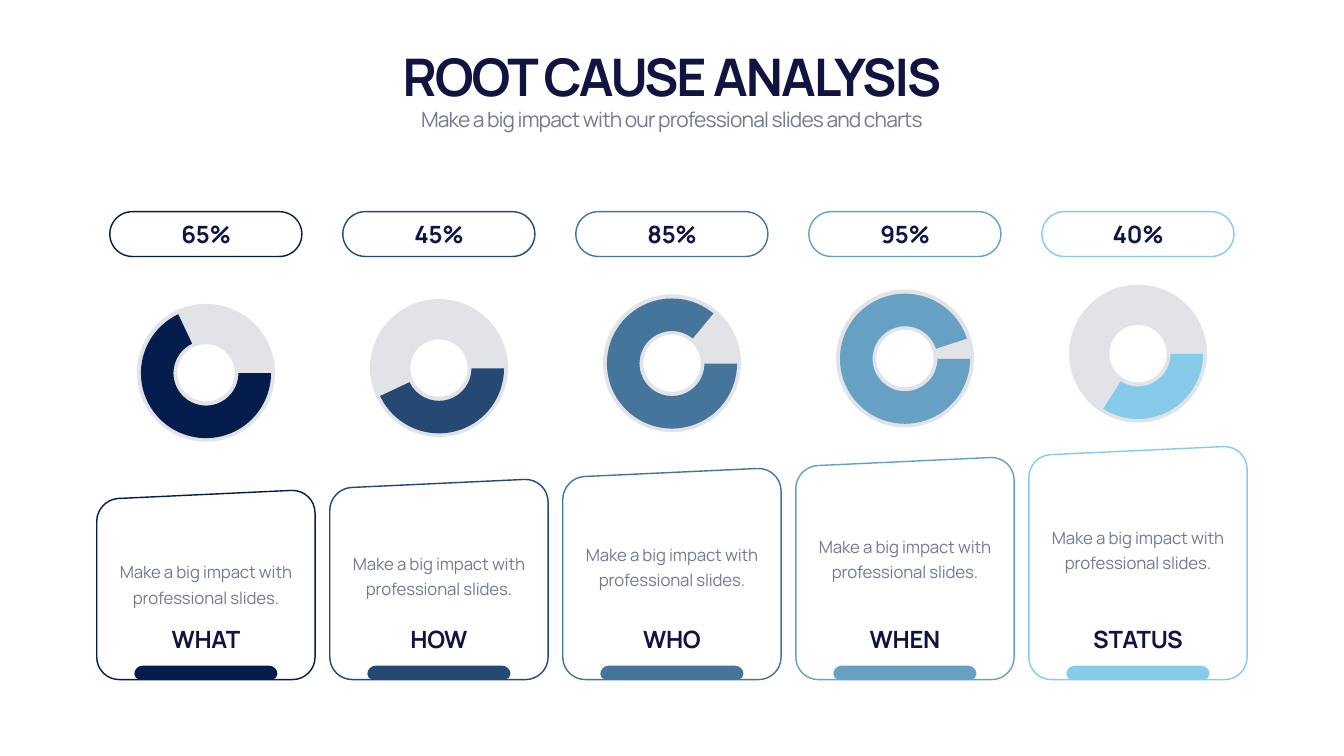
from dataclasses import dataclass

import pptx
import pptx.chart.data
import pptx.dml.color
import pptx.enum.chart
import pptx.enum.shapes
import pptx.enum.text
import pptx.oxml
import pptx.oxml.ns
import pptx.util
from lxml import etree

Pt = pptx.util.Pt
qn = pptx.oxml.ns.qn
ANCHOR = pptx.enum.text.MSO_ANCHOR
SHAPES = pptx.enum.shapes.MSO_SHAPE


@dataclass(frozen=True)
class TextStyle:
    """Size, colour, weight and spacing of a kind of text."""
    size: float
    color: str
    bold: bool
    tracking: float
    leading: float = 0


@dataclass(frozen=True)
class Theme:
    """Colours, fonts and type sizes of the slide."""
    font: str = "Manrope"
    chart_font: str = "Calibri"
    chart_size: float = 10
    muted: str = "747993"
    track: str = "C4C8CE"
    track_alpha: int = 50000
    outline: float = 2
    accents: tuple = ("041D4C", "254973", "45759B", "66A0C3", "86CCEA")
    title: TextStyle = TextStyle(74, "111340", True, -2.9)
    subtitle: TextStyle = TextStyle(30, "747993", False, -1.2)
    label: TextStyle = TextStyle(34, "111340", True, -0.3)
    body: TextStyle = TextStyle(24, "747993", False, -0.2, 36)


@dataclass(frozen=True)
class Box:
    """A rectangle in points."""
    left: float
    top: float
    width: float
    height: float

    def inner(self, left, top, width, height):
        """Return a box placed relative to this one."""
        return Box(self.left + left, self.top + top, width, height)

    def lengths(self):
        """Return left, top, width and height as lengths."""
        return [Pt(side) for side in (self.left, self.top, self.width, self.height)]


THEME = Theme()
CAUSES = [
    ("WHAT", "65%", 68),
    ("HOW", "45%", 43),
    ("WHO", "85%", 86),
    ("WHEN", "95%", 95),
    ("STATUS", "40%", 34),
]
DESCRIPTION = "Make a big impact with professional slides."


def rgb(color):
    """Turn a hex string into a colour."""
    return pptx.dml.color.RGBColor.from_string(color)


def write(holder, text, style, anchor):
    """Fill a text holder with one centred, styled run."""
    frame = holder.text_frame
    frame.word_wrap = True
    frame.auto_size = pptx.enum.text.MSO_AUTO_SIZE.SHAPE_TO_FIT_TEXT
    frame.vertical_anchor = anchor
    frame.margin_left = frame.margin_right = Pt(7.2)
    frame.margin_top = frame.margin_bottom = Pt(3.6)
    paragraph = frame.paragraphs[0]
    paragraph.alignment = pptx.enum.text.PP_ALIGN.CENTER
    paragraph.space_before = Pt(0)
    if style.leading:
        paragraph.line_spacing = Pt(style.leading)
    run = paragraph.add_run()
    run.text = text
    run.font.name = THEME.font
    run.font.size = Pt(style.size)
    run.font.bold = style.bold
    run.font.color.rgb = rgb(style.color)
    run.font._element.set("spc", str(round(style.tracking * 100)))


def add_text(slide, box, text, style, anchor):
    """Add a text box."""
    write(slide.shapes.add_textbox(*box.lengths()), text, style, anchor)


def paint(shape, fill=None, line=None):
    """Give a shape a flat fill, an outline, or neither."""
    shape.shadow.inherit = False
    if fill:
        shape.fill.solid()
        shape.fill.fore_color.rgb = rgb(fill)
    else:
        shape.fill.background()
    if line:
        shape.line.color.rgb = rgb(line)
        shape.line.width = Pt(THEME.outline)
    else:
        shape.line.fill.background()


def bend(start, turn, end):
    """Return the four Bézier points of a rounded corner."""
    handles = [
        tuple(a + 0.55 * (c - a) for a, c in zip(tip, turn)) for tip in (start, end)
    ]
    return [start, *handles, end]


def add_outline(slide, box, corners):
    """Add a closed outline with rounded corners."""
    points = [
        (Pt(box.left + x), Pt(box.top + y))
        for corner in corners for x, y in bend(*corner)
    ]
    builder = slide.shapes.build_freeform(*points[0])
    builder.add_line_segments(points[1:], close=True)
    shape = builder.convert_to_shape()
    segments = list(shape._element.iter(qn("a:lnTo")))
    for first in range(0, 4 * len(corners), 4):
        curve = etree.Element(qn("a:cubicBezTo"))
        segments[first].addprevious(curve)
        for segment in segments[first:first + 3]:
            curve.append(segment[0])
            segment.getparent().remove(segment)
    return shape


def add_header(slide, box):
    """Place the title and the subtitle."""
    title, subtitle = slide.placeholders
    parts = [
        (title, box.inner(0, 0, box.width, 97.2), "ROOT CAUSE ANALYSIS",
         THEME.title, ANCHOR.BOTTOM),
        (subtitle, box.inner(0, 90, box.width, 43.9),
         "Make a big impact with our professional slides and charts",
         THEME.subtitle, ANCHOR.TOP),
    ]
    for holder, place, text, style, anchor in parts:
        holder.left, holder.top, holder.width, holder.height = place.lengths()
        write(holder, text, style, anchor)


def add_badge(slide, box, percent, accent):
    """Place the pill with its percentage."""
    pill = slide.shapes.add_shape(SHAPES.ROUNDED_RECTANGLE, *box.lengths())
    pill.adjustments[0] = 0.5
    paint(pill, line=accent)
    add_text(slide, box.inner(38.6, 7.9, 198, 48.2), percent, THEME.label, ANCHOR.MIDDLE)


def add_ring(slide, box, share, accent):
    """Place the pale ring and the doughnut chart over it."""
    track = slide.shapes.add_shape(SHAPES.DONUT, *box.inner(4.8, 15.1, 197, 197).lengths())
    track.adjustments[0] = 0.292
    paint(track, fill=THEME.track)
    tint = track._element.spPr.find(".//" + qn("a:srgbClr"))
    etree.SubElement(tint, qn("a:alpha"), val=str(THEME.track_alpha))

    shares = pptx.chart.data.CategoryChartData()
    shares.categories = ["1", "2"]
    shares.add_series("Series 1", (share, 100 - share))
    chart = slide.shapes.add_chart(
        pptx.enum.chart.XL_CHART_TYPE.DOUGHNUT, *box.lengths(), shares).chart
    chart.has_legend = chart.has_title = False
    chart.font.name = THEME.chart_font
    chart.font.size = Pt(THEME.chart_size)
    chart.font.color.rgb = rgb(THEME.muted)
    plot = chart.plots[0]
    plot.vary_by_categories = False
    for index, fill in enumerate((accent, None)):
        slice_format = plot.series[0].points[index].format
        slice_format.line.fill.background()
        if fill:
            slice_format.fill.solid()
            slice_format.fill.fore_color.rgb = rgb(fill)
        else:
            slice_format.fill.background()
    for tag, value in (("c:firstSliceAng", 90), ("c:holeSize", 44)):
        plot._element.find(qn(tag)).set("val", str(value))

    area = plot._element.getparent()
    for old in area.findall(qn("c:layout")):
        area.remove(old)
    sides = {"layoutTarget": "inner", "xMode": "edge", "yMode": "edge",
             "x": 0.05, "y": 0.09, "w": 0.9, "h": 0.82}
    entries = "".join(f'<c:{side} val="{value}"/>' for side, value in sides.items())
    area.insert(0, pptx.oxml.parse_xml(
        f'<c:layout {pptx.oxml.ns.nsdecls("c")}><c:manualLayout>{entries}'
        "</c:manualLayout></c:layout>"))


def add_card(slide, box, heading, text_top, accent):
    """Place the slanted card, its foot tab, heading and description."""
    w, h = box.width, box.height
    tab = box.inner(53.6, h - 19.8, 204.5, 19.8)
    foot = add_outline(slide, tab, [
        ((0, 12), (0, 0), (12, 0)),
        ((tab.width - 12, 0), (tab.width, 0), (tab.width, 12)),
        ((tab.width, 12), (tab.width, 19.8), (tab.width - 8, 19.8)),
        ((8, 19.8), (0, 19.8), (0, 12)),
    ])
    paint(foot, fill=accent)
    card = add_outline(slide, box, [
        ((w - 32, h), (w, h), (w, h - 32)),
        ((w, 33), (w, -1), (w - 34, 0.5)),
        ((31, 12), (0, 13.5), (0, 44.6)),
        ((0, h - 32), (0, h), (32, h)),
    ])
    paint(card, line=accent)
    add_text(slide, box.inner(18, h - 82.4, 275.8, 48.2), heading, THEME.label, ANCHOR.TOP)
    add_text(slide, box.inner(18, text_top - box.top, 275.8, 113.8),
             DESCRIPTION, THEME.body, ANCHOR.BOTTOM)


def add_cause(slide, box, index, cause, accent):
    """Place one column: badge, ring and card, rising with its index."""
    heading, percent, share = cause
    card_height = 270.7 + 15.66 * index
    add_badge(slide, box.inner(18.6, 0, 274.3, 64), percent, accent)
    add_ring(slide, box.inner(52.7, 116.6 - 6.84 * index, 206.6, 228.2), share, accent)
    add_card(slide, box.inner(0, box.height - card_height, box.width, card_height),
             heading, 757.4 - 12.2 * index, accent)


def main():
    """Build and save the slide."""
    deck = pptx.Presentation()
    deck.slide_width, deck.slide_height = Pt(1919.52), Pt(1080)
    slide = deck.slides.add_slide(deck.slide_layouts[0])
    add_header(slide, Box(119.5, 59, 1679.8, 134))
    for index, (cause, accent) in enumerate(zip(CAUSES, THEME.accents)):
        column = Box(138.2 + 332.8 * index, 302.4, 311.8, 668.4)
        add_cause(slide, column, index, cause, accent)
    deck.save("out.pptx")


if __name__ == "__main__":
    main()
